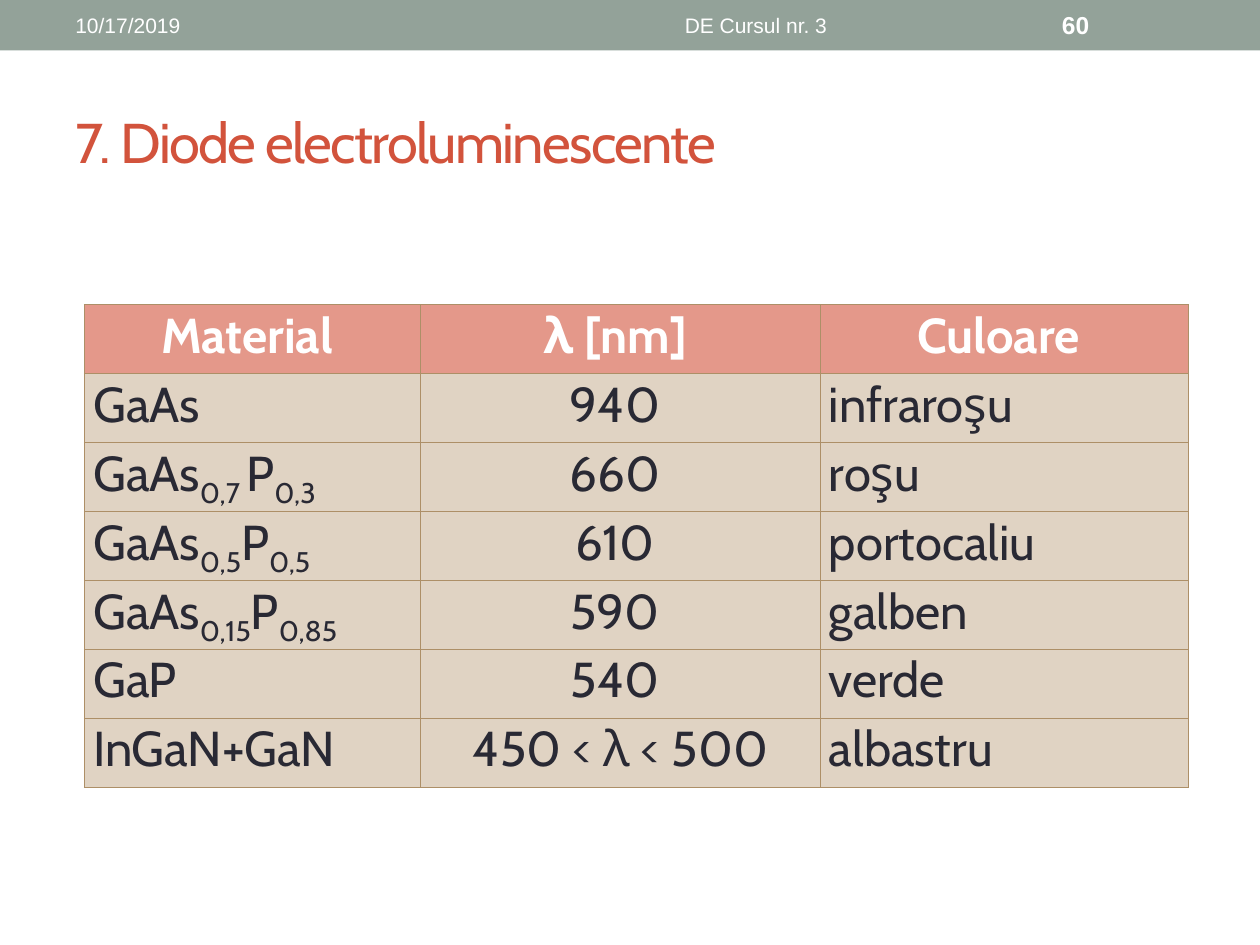
import pptx
import pptx.util
import pptx.dml.color
import pptx.enum.shapes
import pptx.enum.text
import pptx.oxml
import pptx.oxml.ns

Inches = pptx.util.Inches
Pt = pptx.util.Pt
RGBColor = pptx.dml.color.RGBColor
Align = pptx.enum.text.PP_ALIGN
Anchor = pptx.enum.text.MSO_ANCHOR

WHITE = RGBColor(0xFF, 0xFF, 0xFF)
SAGE = RGBColor(0x93, 0xA2, 0x99)
BRICK = RGBColor(0xD2, 0x53, 0x3C)
SALMON = RGBColor(0xE4, 0x98, 0x8A)
SAND = RGBColor(0xE0, 0xD3, 0xC3)
BROWN = RGBColor(0xAD, 0x8F, 0x67)
INK = RGBColor(0x29, 0x29, 0x34)

SUBSCRIPT_MARK = "_"
COLUMN_WIDTHS = [2.67, 3.17, 2.92]
HEADINGS = ["Material ", "λ [nm] ", "Culoare "]
MATERIALS = [
    ["GaAs", "940 ", "infraroşu"],
    ["GaAs_0,7 _P_0,3", "660 ", "roşu"],
    ["GaAs_0,5_P_0,5", "610 ", "portocaliu"],
    ["GaAs_0,15_P_0,85", "590 ", "galben"],
    ["GaP", "540 ", "verde"],
    ["InGaN+GaN", "450 < λ < 500", "albastru"],
]


class SlideBuilder:
    heading_font = "Cabin"
    header_font = "Arial"
    table_size = 28

    def __init__(self, deck):
        self.page = deck.slides.add_slide(deck.slide_layouts[5])

    def style(self, para, font, size, color, bold=False, align=Align.LEFT):
        para.alignment = align
        para.font.name = font
        para.font.size = Pt(size)
        para.font.color.rgb = color
        para.font.bold = bold

    def band(self, left, top, width, height, color):
        bar = self.page.shapes.add_shape(
            pptx.enum.shapes.MSO_SHAPE.RECTANGLE,
            Inches(left), Inches(top), Inches(width), Inches(height))
        bar.shadow.inherit = False
        bar.fill.solid()
        bar.fill.fore_color.rgb = color
        bar.line.fill.background()

    def title(self, text, left, top, width, height):
        box = self.page.shapes.title
        box.left, box.top = Inches(left), Inches(top)
        box.width, box.height = Inches(width), Inches(height)
        box.text_frame.vertical_anchor = Anchor.MIDDLE
        para = box.text_frame.paragraphs[0]
        span = para.add_run()
        span.text = text
        self.style(para, self.heading_font, 32, BRICK)
        span.font.size = Pt(32)
        span.font._element.set("spc", "-100")

    def header_text(self, text, left, width, size=12, bold=False, align=Align.LEFT):
        box = self.page.shapes.add_textbox(
            Inches(left), Inches(0.02), Inches(width), Inches(0.36))
        frame = box.text_frame
        frame.word_wrap = True
        frame.vertical_anchor = Anchor.MIDDLE
        frame.text = text
        self.style(frame.paragraphs[0], self.header_font, size, WHITE, bold, align)

    def borders(self, cell):
        properties = cell._tc.get_or_add_tcPr()
        for side in ("lnL", "lnR", "lnT", "lnB"):
            properties.append(pptx.oxml.parse_xml(
                f'<a:{side} {pptx.oxml.ns.nsdecls("a")} w="{Pt(0.75)}">'
                f'<a:solidFill><a:srgbClr val="{BROWN}"/></a:solidFill></a:{side}>'))

    def cell(self, cell, text, fill, color, bold, align):
        cell.margin_left = cell.margin_right = Inches(0.07)
        cell.margin_top, cell.margin_bottom = Inches(0.01), Inches(0)
        self.borders(cell)
        cell.fill.solid()
        cell.fill.fore_color.rgb = fill
        para = cell.text_frame.paragraphs[0]
        self.style(para, self.heading_font, self.table_size, color, bold, align)
        for index, part in enumerate(text.split(SUBSCRIPT_MARK)):
            span = para.add_run()
            span.text = part
            if index % 2:
                span.font._element.set("baseline", "-25000")

    def table(self, rows, widths, left, top, height):
        table = self.page.shapes.add_table(
            len(rows), len(widths), Inches(left), Inches(top),
            Inches(sum(widths)), Inches(height)).table
        for column, width in zip(table.columns, widths):
            column.width = Inches(width)
        for row_index, row in enumerate(rows):
            heading = row_index == 0
            fill, color = (SALMON, WHITE) if heading else (SAND, INK)
            for column_index, text in enumerate(row):
                centred = heading or column_index == 1
                self.cell(table.cell(row_index, column_index), text, fill, color,
                          heading, Align.CENTER if centred else Align.LEFT)


def main():
    deck = pptx.Presentation()
    deck.slide_width, deck.slide_height = Inches(10), Inches(7.5)
    builder = SlideBuilder(deck)
    builder.band(0, 0, 10, 0.4, SAGE)
    builder.title("7. Diode electroluminescente", 0.5, 0.58, 9, 1.08)
    builder.table([HEADINGS] + MATERIALS, COLUMN_WIDTHS, 0.67, 2.42, 3.83)
    builder.header_text("10/17/2019", 0.5, 3.17)
    builder.header_text("DE Cursul nr. 3", 3.75, 4.5, align=Align.CENTER)
    builder.header_text("60", 8.33, 1.17, size=14, bold=True)
    deck.save("out.pptx")


if __name__ == "__main__":
    main()
